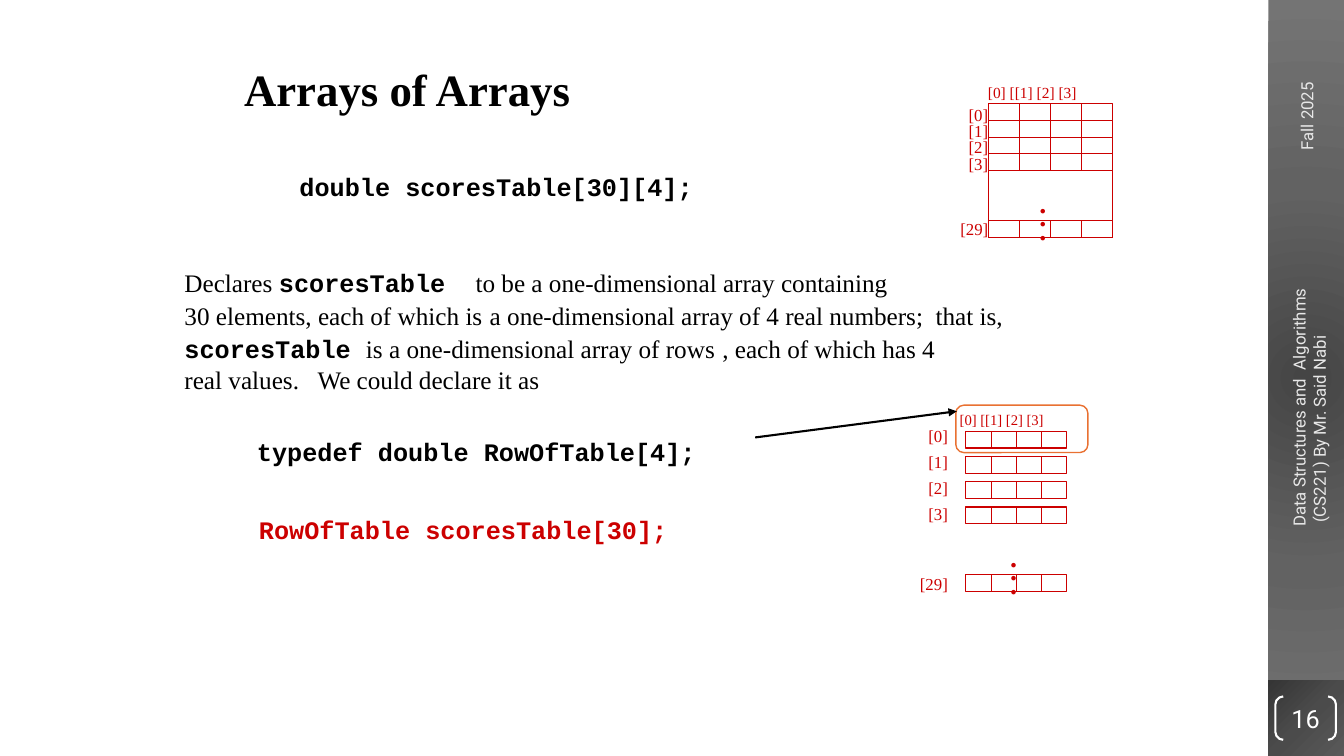
from lxml import etree
from pptx import Presentation
from pptx.dml.color import RGBColor
from pptx.enum.shapes import MSO_CONNECTOR, MSO_SHAPE as SHAPE
from pptx.enum.text import MSO_ANCHOR as ANCHOR, PP_ALIGN as ALIGN
from pptx.oxml import parse_xml
from pptx.oxml.ns import nsdecls, qn
from pptx.util import Inches, Pt

SERIF, MONO, SANS = "Times New Roman", "Courier New", "Roboto"
COLORS = {"black": "000000", "red": "CC0000", "orange": "E97132",
          "white": "FFFFFF", "pale": "E8E8E8"}

# Content: a span is (text, format), a paragraph is a list of spans
TITLE = "Arrays of Arrays"
DECLARATION = "double scoresTable[30][4];"
TYPEDEF = "typedef double RowOfTable[4];"
ROW_ARRAY = "RowOfTable scoresTable[30];"
CODE = {"font": MONO, "bold": True}
WIDE = {"size": 20}
EXPLANATION = [
    ("Declares ", {}), ("scoresTable  ", CODE),
    ("to be a one-dimensional array containing \v30 elements, each of which is", {}),
    (" ", WIDE), ("a one-dimensional array of 4 real numbers;  that is, \v", {}),
    ("scoresTable ", CODE), ("is a one-dimensional array of rows", {}),
    (" ", WIDE), (", each of which has 4 \vreal values.   We could declare it as", {}),
]
TERM = "Fall 2025"
COURSE = ["Data Structures and  Algorithms", " (CS221) By Mr. Said Nabi"]
PAGE_NUMBER = "16"
COLUMN_LABELS = "[0] [[1] [2] [3]"
ROW_LABELS = ["[0]\v[1]\v[2]\v[3]", "[29]"]

# Sidebar gradients: left, top, width, height, stops, focus (l, t, r, b)
SIDEBAR = [
    ((12.58, 0, 0.75, 7.5), ("454545", "626262", "747474"), (50, 50, 50, 50)),
    ((12.58, 6.75, 0.75, 0.75), ("353535", "4B4B4B", "595959"), (0, 0, 100, 100)),
]
# Array drawings
TABLES = [
    {"left": 9.8, "top": 1.03, "width": 1.23, "pitch": 0.165, "last": 2.19,
     "dots": (10.21, 1.79, 0.51), "header": (9.7, 0.78, 1.64, 0.29), "header_size": 11,
     "labels": (9.08, 1.03, 0.82, 1.39), "spacing": (0.8, 1.4), "gap": 27},
    {"left": 9.58, "top": 4.28, "width": 1, "pitch": 0.25, "last": 5.7,
     "dots": (9.92, 5.3, 0.42), "header": (9.42, 4.03, 1.58, 0.28), "header_size": 10.5,
     "labels": (8.83, 4.11, 0.67, 1.84), "spacing": (1.3, 1.3), "gap": 31},
]
ROW_HEIGHT, ROWS, COLUMNS, DOT_PITCH = 0.165, 4, 4, 0.135
SIDE_LINES = [((9.8, 1.36), (9.8, 2.36)), ((11.03, 1.53), (11.03, 2.36))]


def rgb(name):
    return RGBColor.from_string(COLORS[name])


def write(frame, paragraphs, font=SERIF, size=18, color="black", bold=False,
          align=ALIGN.LEFT, anchor=ANCHOR.TOP, inset=True, spacing=None, gap=0):
    """Fill a text frame; each paragraph is a string or a list of spans."""
    frame.word_wrap = True
    frame.vertical_anchor = anchor
    if not inset:
        frame.margin_left = frame.margin_right = 0
        frame.margin_top = frame.margin_bottom = 0
    for index, spans in enumerate(paragraphs):
        para = frame.add_paragraph() if index else frame.paragraphs[0]
        para.alignment = align
        if spacing:
            para.line_spacing = spacing[index]
        if index and gap:
            para.space_before = Pt(gap)
        for text, style in [(spans, {})] if isinstance(spans, str) else spans:
            for number, piece in enumerate(text.split("\v")):
                if number:
                    para.add_line_break()
                if not piece:
                    continue
                span = para.add_run()
                span.text = piece
                span.font.name = style.get("font", font)
                span.font.size = Pt(style.get("size", size))
                span.font.bold = style.get("bold", bold)
                span.font.color.rgb = rgb(color)


def add_text(page, at, paragraphs, rotation=0, **style):
    box = page.shapes.add_textbox(*map(Inches, at))
    box.rotation = rotation
    write(box.text_frame, paragraphs, **style)


def add_outline(page, kind, at, color, weight):
    shape = page.shapes.add_shape(kind, *map(Inches, at))
    shape.shadow.inherit = False
    shape.fill.background()
    shape.line.color.rgb = rgb(color)
    shape.line.width = Pt(weight)
    return shape


def add_line(page, start, end, color="red", weight=0.75, arrow=False):
    line = page.shapes.add_connector(MSO_CONNECTOR.STRAIGHT, *map(Inches, start + end))
    line.line.color.rgb = rgb(color)
    line.line.width = Pt(weight)
    if arrow:
        etree.SubElement(line.line._get_or_add_ln(), qn("a:tailEnd"), type="triangle")
    etree.SubElement(line._element.spPr, qn("a:effectLst"))


def add_gradient(page, at, stops, focus):
    panel = page.shapes.add_shape(SHAPE.RECTANGLE, *map(Inches, at))
    panel.shadow.inherit = False
    panel.line.fill.background()
    panel.fill.gradient()
    marks = "".join(f'<a:gs pos="{i * 50000}"><a:srgbClr val="{stop}"/></a:gs>'
                    for i, stop in enumerate(stops))
    sides = " ".join(f'{side}="{value * 1000}"' for side, value in zip("ltrb", focus))
    old = panel._element.spPr.find(qn("a:gradFill"))
    old.getparent().replace(old, parse_xml(
        f'<a:gradFill {nsdecls("a")} rotWithShape="1"><a:gsLst>{marks}</a:gsLst>'
        f'<a:path path="circle"><a:fillToRect {sides}/></a:path></a:gradFill>'))


def add_array(page, table):
    left, width = table["left"], table["width"]
    tops = [table["top"] + i * table["pitch"] for i in range(ROWS)] + [table["last"]]
    for top in tops:
        add_outline(page, SHAPE.RECTANGLE, (left, top, width, ROW_HEIGHT), "red", 0.75)
        for column in range(1, COLUMNS):
            x = left + column * width / COLUMNS
            add_line(page, (x, top), (x, top + ROW_HEIGHT))
    x, y, dot_width = table["dots"]
    for i in range(3):
        add_text(page, (x, y + i * DOT_PITCH, dot_width, 0.34), ["."],
                 size=20, color="red", bold=True)
    add_text(page, table["labels"], ROW_LABELS, size=12, color="red",
             align=ALIGN.RIGHT, spacing=table["spacing"], gap=table["gap"])
    add_text(page, table["header"], [COLUMN_LABELS],
             size=table["header_size"], color="red")


def main():
    deck = Presentation()
    deck.slide_width, deck.slide_height = Inches(13.33), Inches(7.5)
    page = deck.slides.add_slide(deck.slide_layouts[6])

    # Sidebar
    for at, stops, focus in SIDEBAR:
        add_gradient(page, at, stops, focus)
    side = {"rotation": 270, "font": SANS, "size": 12, "color": "pale"}
    add_text(page, (12.25, 0.73, 1.42, 0.3), [TERM], **side)
    add_text(page, (11.65, 3.74, 2.67, 0.5), COURSE, **side)
    number = add_outline(page, SHAPE.DOUBLE_BRACKET, (12.65, 6.91, 0.6, 0.43), "white", 1.5)
    number.adjustments[0] = 0.18
    write(number.text_frame, [PAGE_NUMBER], font=SANS, color="white",
          align=ALIGN.CENTER, anchor=ANCHOR.MIDDLE, inset=False)

    # Title, explanation and code
    add_text(page, (2.42, 0.61, 5.42, 0.54), [TITLE], size=32, bold=True, inset=False)
    add_text(page, (2.97, 1.7, 3.94, 0.3), [DECLARATION], inset=False, **CODE)
    add_text(page, (1.83, 2.65, 8.27, 1.28), [EXPLANATION], inset=False)
    add_text(page, (2.45, 4.28, 5.67, 0.4), [TYPEDEF], **CODE)
    add_text(page, (2.47, 5.05, 5.08, 0.4), [ROW_ARRAY], color="red", **CODE)

    # Array drawings
    for table in TABLES:
        add_array(page, table)
    for start, end in SIDE_LINES:
        add_line(page, start, end)

    # Highlighted row
    add_outline(page, SHAPE.ROUNDED_RECTANGLE, (9.48, 4.02, 1.31, 0.47), "orange", 1)
    add_line(page, (7.49, 4.34), (9.49, 4.08), color="black", weight=1.5, arrow=True)

    deck.save("out.pptx")


if __name__ == "__main__":
    main()
